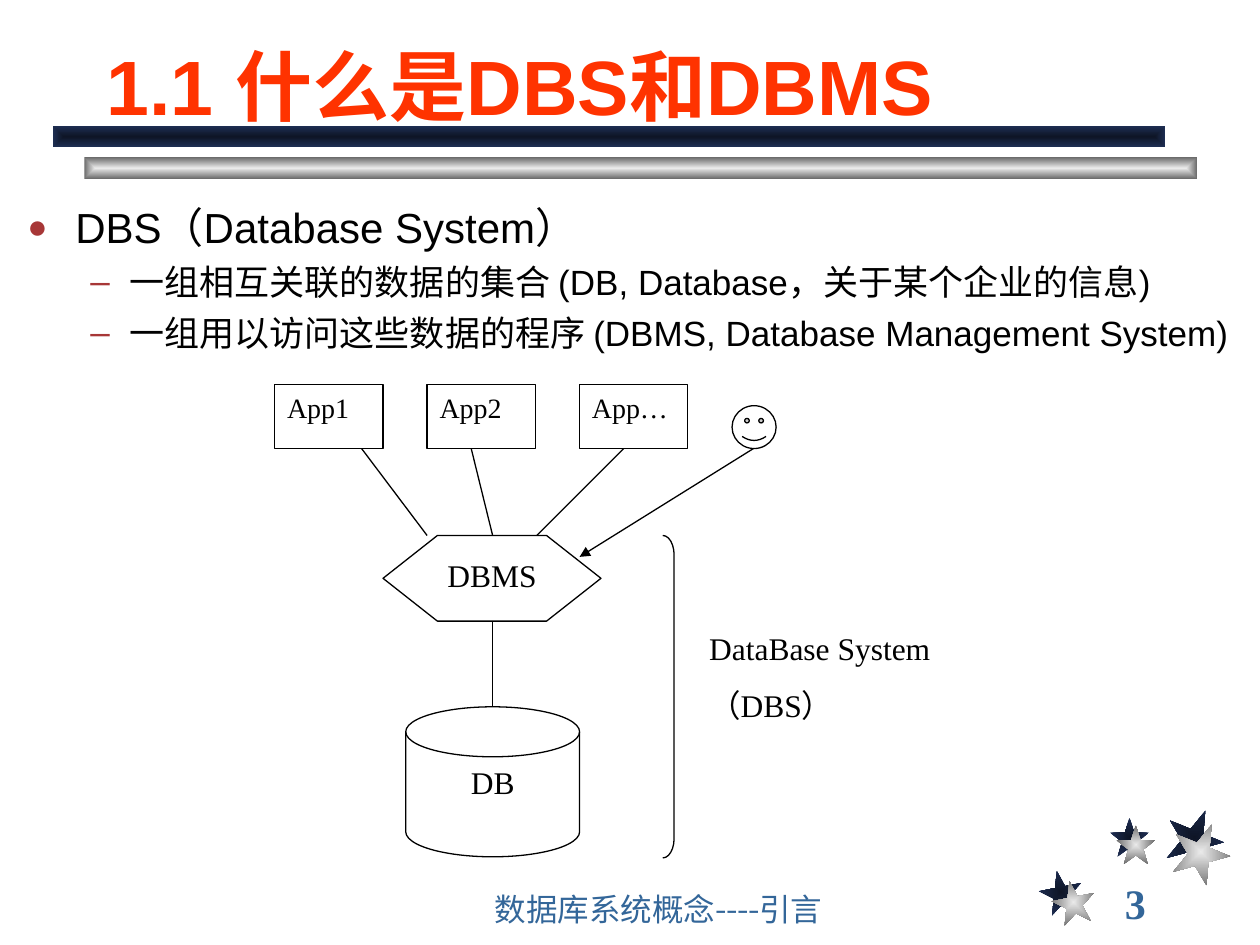
from dataclasses import dataclass

from lxml import etree
from pptx import Presentation
from pptx.dml.color import RGBColor
from pptx.enum.shapes import MSO_CONNECTOR, MSO_SHAPE
from pptx.enum.text import MSO_ANCHOR, PP_ALIGN
from pptx.oxml.ns import qn
from pptx.util import Inches, Pt

RECTANGLE = MSO_SHAPE.RECTANGLE
STAR = MSO_SHAPE.STAR_5_POINT
HEXAGON = MSO_SHAPE.HEXAGON
DISK = MSO_SHAPE.FLOWCHART_MAGNETIC_DISK
SMILEY = MSO_SHAPE.SMILEY_FACE
BRACKET = MSO_SHAPE.RIGHT_BRACKET
STRAIGHT = MSO_CONNECTOR.STRAIGHT
TOP, MIDDLE, BOTTOM = MSO_ANCHOR.TOP, MSO_ANCHOR.MIDDLE, MSO_ANCHOR.BOTTOM
LEFT, CENTER, JUSTIFY = PP_ALIGN.LEFT, PP_ALIGN.CENTER, PP_ALIGN.JUSTIFY


@dataclass(frozen=True)
class Theme:
    white: str = "FFFFFF"
    black: str = "000000"
    title: str = "FF3300"
    footer: str = "336699"
    bullet: str = "A73737"
    navy: tuple = ("0E1526", "1E2E53")
    silver: tuple = ("EAEAEA", "6C6C6C")
    sans: str = "Arial"
    serif: str = "Times New Roman"
    footer_font: str = "Karla"
    title_size: int = 44
    body_size: int = 24
    sub_size: int = 20
    label_size: int = 18
    app_size: int = 16
    line_width: float = 0.75


THEME = Theme()


def inches(values):
    return [Inches(value) for value in values]


def style(paragraph, font, size, color, bold=False):
    paragraph.font.name = font
    paragraph.font.size = Pt(size)
    paragraph.font.bold = bold
    paragraph.font.color.rgb = RGBColor.from_string(color)


def write(shape, lines, font, size, color=THEME.black, bold=False,
          align=LEFT, anchor=TOP, before=0):
    frame = shape.text_frame
    frame.word_wrap = True
    frame.vertical_anchor = anchor
    frame.text = "\n".join(lines)
    for paragraph in frame.paragraphs:
        paragraph.alignment = align
        paragraph.space_before = Pt(before)
        style(paragraph, font, size, color, bold)


def add_ornament(slide, kind, box, colors, rotation=0):
    """Shape whose gradient runs from its centre to its edges."""
    shape = slide.shapes.add_shape(kind, *inches(box))
    shape.shadow.inherit = False
    shape.rotation = rotation
    shape.line.fill.background()
    shape.fill.gradient()
    for stop, position, color in zip(shape.fill.gradient_stops, (0, 1), colors):
        stop.position = position
        stop.color.rgb = RGBColor.from_string(color)
    gradient = shape._element.spPr.find(qn("a:gradFill"))
    gradient.remove(gradient.find(qn("a:lin")))
    shading = etree.SubElement(gradient, qn("a:path"), {"path": "rect"})
    etree.SubElement(shading, qn("a:fillToRect"), dict.fromkeys("ltrb", "50000"))


def add_outlined(slide, kind, box, filled=True):
    shape = slide.shapes.add_shape(kind, *inches(box))
    shape.shadow.inherit = False
    if filled:
        shape.fill.solid()
        shape.fill.fore_color.rgb = RGBColor.from_string(THEME.white)
    else:
        shape.fill.background()
    shape.line.color.rgb = RGBColor.from_string(THEME.black)
    shape.line.width = Pt(THEME.line_width)
    return shape


def add_link(slide, start, end, arrow=False):
    link = slide.shapes.add_connector(STRAIGHT, *inches((*start, *end)))
    link.line.color.rgb = RGBColor.from_string(THEME.black)
    link.line.width = Pt(THEME.line_width)
    if arrow:
        etree.SubElement(link.line._get_or_add_ln(), qn("a:tailEnd"), type="triangle")
    etree.SubElement(link._element.spPr, qn("a:effectLst"))


def add_bullet(paragraph, character, margin, hanging, size=100):
    properties = paragraph._p.get_or_add_pPr()
    properties.set("marL", str(Inches(margin)))
    properties.set("indent", str(-Inches(hanging)))
    color = etree.SubElement(properties, qn("a:buClr"))
    etree.SubElement(color, qn("a:srgbClr"), val=THEME.bullet)
    etree.SubElement(properties, qn("a:buSzPct"), val=str(size * 1000))
    etree.SubElement(properties, qn("a:buFont"), typeface=THEME.sans)
    etree.SubElement(properties, qn("a:buChar"), char=character)


def build_stars(slide, left, top):
    # Each star is drawn twice: navy behind, silver shifted in front
    stars = ((0, 0.49, 0.34, -11, 0.1, 0.08),
             (0.56, 0.07, 0.31, 0, 0.05, 0.06),
             (1, 0, 0.46, 22, 0.05, 0.11))
    for x, y, size, rotation, shift_x, shift_y in stars:
        for step, colors in enumerate((THEME.navy, THEME.silver)):
            box = (left + x + step * shift_x, top + y + step * shift_y, size, size)
            add_ornament(slide, STAR, box, colors, rotation)


def build_bars(slide, left, top, width, height):
    offset = 0.25
    for step, colors in ((1, THEME.silver), (0, THEME.navy)):
        box = (left + step * offset, top + step * offset, width, height)
        add_ornament(slide, RECTANGLE, box, colors)


def build_title(slide, box):
    title = slide.shapes.add_textbox(*inches(box))
    write(title, ["1.1 什么是DBS和DBMS"], THEME.sans, THEME.title_size,
          THEME.title, bold=True, anchor=BOTTOM)


def build_footer(slide, text_box, number_box):
    footer = slide.shapes.add_textbox(*inches(text_box))
    write(footer, ["数据库系统概念----引言"], THEME.footer_font, THEME.label_size,
          THEME.footer, anchor=BOTTOM)
    number = slide.shapes.add_textbox(*inches(number_box))
    write(number, ["3"], THEME.serif, THEME.body_size, THEME.footer,
          bold=True, anchor=MIDDLE)


def build_body(slide, box):
    body = slide.shapes.add_textbox(*inches(box))
    lines = ["DBS（Database System）",
             "一组相互关联的数据的集合 (DB, Database，关于某个企业的信息)",
             "一组用以访问这些数据的程序 (DBMS, Database Management System)"]
    write(body, lines, THEME.sans, THEME.sub_size, before=5)
    heading, *details = body.text_frame.paragraphs
    heading.font.size = Pt(THEME.body_size)
    heading.space_before = Pt(6)
    add_bullet(heading, "●", 0.38, 0.38, size=80)
    for paragraph in details:
        paragraph.level = 1
        add_bullet(paragraph, "–", 0.81, 0.31)


def build_diagram(slide, left, top):
    def place(x, y, *size):
        return (left + x, top + y, *size)

    # Applications and the user
    for column, name in enumerate(("App1", "App2", "App…")):
        app = add_outlined(slide, RECTANGLE, place(column * 1.21, 0, 0.86, 0.51))
        write(app, [name], THEME.serif, THEME.app_size, align=JUSTIFY, before=10)
    add_outlined(slide, SMILEY, place(3.63, 0.17, 0.35, 0.34))

    # Management system and database
    dbms = add_outlined(slide, HEXAGON, place(0.86, 1.2, 1.73, 0.68))
    dbms.adjustments[0] = 0.635
    database = add_outlined(slide, DISK, place(1.04, 2.56, 1.38, 1.19))
    for shape, name in ((dbms, "DBMS"), (database, "DB")):
        write(shape, [name], THEME.serif, THEME.label_size, align=CENTER, before=11.2)

    # Links
    links = (((0.69, 0.51), (1.21, 1.2)), ((1.56, 0.51), (1.73, 1.2)),
             ((2.77, 0.51), (2.08, 1.2)), ((1.73, 1.88), (1.73, 2.56)))
    for start, end in links:
        add_link(slide, place(*start), place(*end))
    add_link(slide, place(3.8, 0.51), place(2.42, 1.37), arrow=True)

    # Bracket and its caption
    bracket = add_outlined(slide, BRACKET, place(3.08, 1.2, 0.09, 2.56), filled=False)
    bracket.adjustments[0] = 1.7
    caption = slide.shapes.add_textbox(*inches(place(3.35, 1.89, 2.59, 1.71)))
    write(caption, ["DataBase System", "（DBS）"], THEME.serif, THEME.label_size,
          align=JUSTIFY, before=11.2)


def main():
    presentation = Presentation()
    presentation.slide_width, presentation.slide_height = inches((10, 7.5))
    slide = presentation.slides.add_slide(presentation.slide_layouts[6])
    build_stars(slide, 8.25, 6.42)
    build_bars(slide, 0.42, 1, 8.83, 0.17)
    build_footer(slide, (3.83, 7.08, 4.08, 0.33), (8.83, 7, 1.08, 0.33))
    build_title(slide, (0.75, 0.17, 8.5, 0.92))
    build_diagram(slide, 2.18, 3.05)
    build_body(slide, (0.12, 1.55, 10, 1.49))
    presentation.save("out.pptx")


if __name__ == "__main__":
    main()
